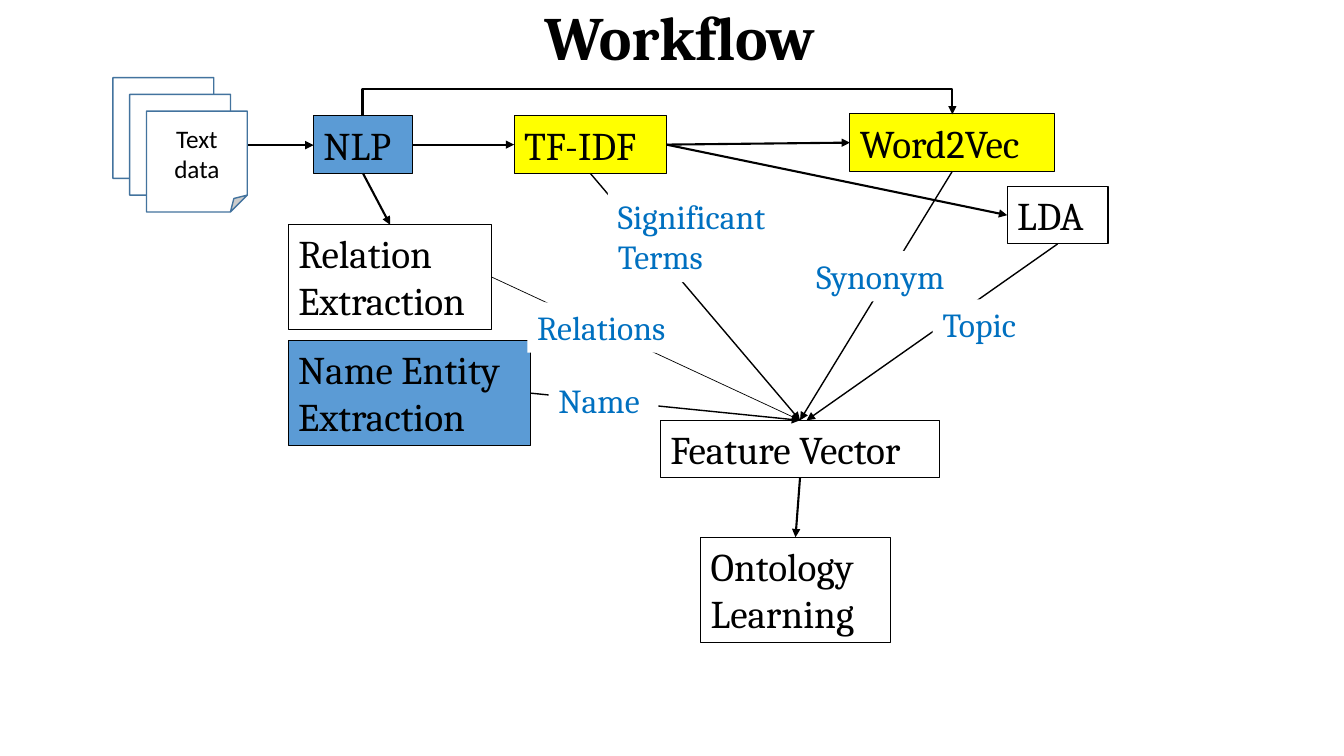
from dataclasses import dataclass

from lxml import etree
from pptx import Presentation
from pptx.dml.color import RGBColor
from pptx.enum.shapes import MSO_CONNECTOR, MSO_SHAPE
from pptx.enum.text import MSO_ANCHOR, MSO_AUTO_SIZE, PP_ALIGN
from pptx.oxml.ns import qn
from pptx.util import Inches, Pt

STRAIGHT, ELBOW = MSO_CONNECTOR.STRAIGHT, MSO_CONNECTOR.ELBOW
FOLDED = MSO_SHAPE.FOLDED_CORNER
MIDDLE, CENTER = MSO_ANCHOR.MIDDLE, PP_ALIGN.CENTER
GROW = MSO_AUTO_SIZE.SHAPE_TO_FIT_TEXT
TOP, LEFT, BOTTOM, RIGHT = range(4)  # connection sites of a rectangle


@dataclass(frozen=True)
class Theme:
    black = RGBColor(0x00, 0x00, 0x00)
    white = RGBColor(0xFF, 0xFF, 0xFF)
    blue = RGBColor(0x5B, 0x9B, 0xD5)
    yellow = RGBColor(0xFF, 0xFF, 0x00)
    label = RGBColor(0x00, 0x70, 0xC0)
    page_edge = RGBColor(0x43, 0x73, 0x9E)
    font = "Cambria"
    page_font = "Calibri"
    title_size = Pt(44)
    box_size = Pt(28)
    label_size = Pt(24)
    page_size = Pt(18)


theme = Theme()


def add_text(left, top, width, height, text, size, color, fill=None):
    """Add an unwrapped text box, one paragraph per line of text."""
    sp = s.shapes.add_textbox(Inches(left), Inches(top), Inches(width), Inches(height))
    if fill is not None:
        sp.fill.solid()
        sp.fill.fore_color.rgb = fill
    tf = sp.text_frame
    tf.text = text
    tf.word_wrap = False
    tf.auto_size = GROW
    for p in tf.paragraphs:
        for r in p.runs:
            r.font.name, r.font.size, r.font.color.rgb = theme.font, size, color
    return sp


def style_arrow(cxn, weight):
    """Black line with a triangle at its end and no shadow."""
    cxn.line.color.rgb = theme.black
    cxn.line.width = Pt(weight)
    etree.SubElement(cxn.line._get_or_add_ln(), qn("a:tailEnd"), type="triangle")
    etree.SubElement(cxn._element.spPr, qn("a:effectLst"))


prs = Presentation()
prs.slide_width, prs.slide_height = Inches(13.33), Inches(7.5)
s = prs.slides.add_slide(prs.slide_layouts[6])

# Title
title = add_text(0.99, -0.03, 11.5, 0.87, "Workflow", theme.title_size, theme.black)
tf = title.text_frame
tf.auto_size = MSO_AUTO_SIZE.NONE
tf.word_wrap = True
tf.vertical_anchor = MIDDLE
p = tf.paragraphs[0]
p.alignment = CENTER
p.line_spacing = 0.9
p.runs[0].font.bold = True

# Processing steps
steps = {
    "nlp": (3.11, 1.15, 0.98, 0.57, "NLP", theme.blue),
    "tfidf": (5.1, 1.15, 1.51, 0.57, "TF-IDF", theme.yellow),
    "word2vec": (8.43, 1.13, 2.03, 0.57, "Word2Vec", theme.yellow),
    "lda": (9.99, 1.85, 1, 0.57, "LDA", None),
    "relation": (2.86, 2.23, 2.02, 1.04, "Relation\nExtraction", None),
    "entity": (2.86, 3.38, 2.4, 1.04, "Name Entity\nExtraction", theme.blue),
    "feature": (6.55, 4.17, 2.77, 0.57, "Feature Vector", None),
    "ontology": (6.95, 5.33, 1.88, 1.04, "Ontology\nLearning", None),
}
boxes = {}
for name, (left, top, width, height, text, fill) in steps.items():
    sp = add_text(left, top, width, height, text, theme.box_size, theme.black, fill)
    sp.line.color.rgb = theme.black
    sp.line.width = Pt(0.75)
    boxes[name] = sp

# Straight arrows between steps
flows = [
    ("nlp", RIGHT, "tfidf", LEFT, 1.5),
    ("tfidf", RIGHT, "word2vec", LEFT, 1.5),
    ("tfidf", RIGHT, "lda", LEFT, 1.5),
    ("nlp", BOTTOM, "relation", TOP, 1.5),
    ("tfidf", BOTTOM, "feature", TOP, 1),
    ("word2vec", BOTTOM, "feature", TOP, 1),
    ("entity", RIGHT, "feature", TOP, 1),
    ("relation", RIGHT, "feature", TOP, 0.5),
    ("feature", BOTTOM, "ontology", TOP, 1.5),
]
for start, start_site, end, end_site, weight in flows:
    cxn = s.shapes.add_connector(STRAIGHT, 0, 0, 0, 0)
    cxn.begin_connect(boxes[start], start_site)
    cxn.end_connect(boxes[end], end_site)
    style_arrow(cxn, weight)

# Arrows that do not end on a connection site
for x1, y1, x2, y2, weight in [(2.45, 1.44, 3.11, 1.44, 1.5), (10.49, 2.42, 8, 4.17, 1)]:
    cxn = s.shapes.add_connector(STRAIGHT, Inches(x1), Inches(y1), Inches(x2), Inches(y2))
    style_arrow(cxn, weight)

# Elbow from NLP over TF-IDF to Word2Vec, turned a quarter so that it leaves upwards
cxn = s.shapes.add_connector(ELBOW, Inches(6.53), Inches(4.07), Inches(6.51), Inches(-1.78))
spPr = cxn._element.spPr
spPr.find(qn("a:xfrm")).set("rot", "5400000")
guides = spPr.find(qn("a:prstGeom")).get_or_add_avLst()
etree.SubElement(guides, qn("a:gd"), name="adj1", fmla="val 1350000")
style_arrow(cxn, 1.5)

# Labels on the arrows
labels = [
    (8, 2.49, 1.6, 0.5, "Synonym"),
    (6.03, 1.89, 1.88, 0.91, "Significant\nTerms"),
    (5.23, 3, 1.61, 0.5, "Relations"),
    (5.44, 3.72, 1.09, 0.5, "Name"),
    (9.25, 2.97, 1.04, 0.5, "Topic"),
]
for left, top, width, height, text in labels:
    add_text(left, top, width, height, text, theme.label_size, theme.label, theme.white)

# Stack of text pages, the front one captioned
for i in range(3):
    offset = i / 6
    page = s.shapes.add_shape(FOLDED, Inches(1.12 + offset), Inches(0.77 + offset),
                              Inches(1), Inches(1))
    page.shadow.inherit = False
    page.fill.solid()
    page.fill.fore_color.rgb = theme.white
    page.line.color.rgb = theme.page_edge
    page.line.width = Pt(1)
tf = page.text_frame
tf.text = "Text\ndata"
tf.vertical_anchor = MIDDLE
for p in tf.paragraphs:
    p.alignment = CENTER
    font = p.runs[0].font
    font.name, font.size, font.color.rgb = theme.page_font, theme.page_size, theme.black

prs.save("out.pptx")
